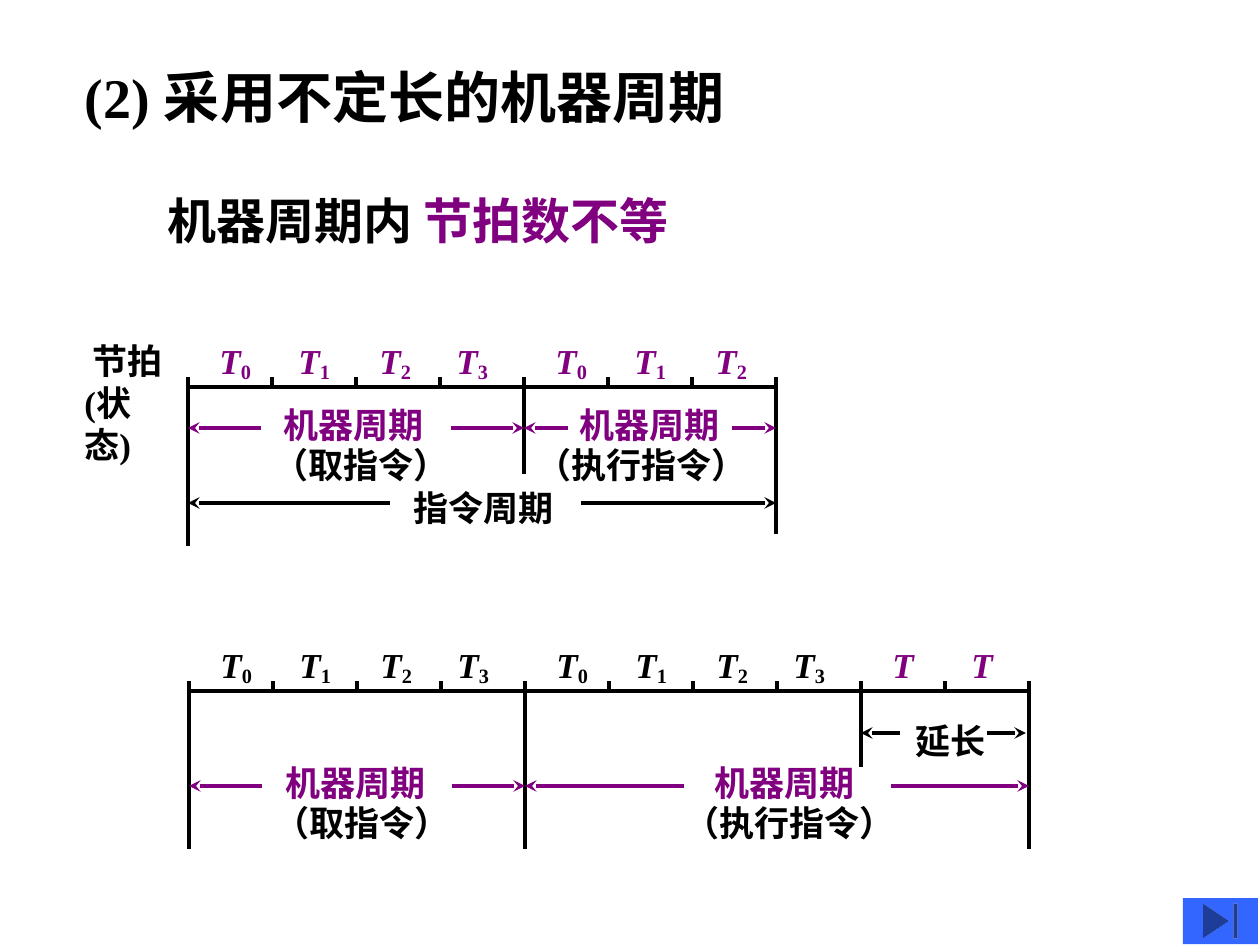
from pptx import Presentation
from pptx.dml.color import RGBColor
from pptx.enum.shapes import MSO_CONNECTOR, MSO_SHAPE
from pptx.enum.text import MSO_ANCHOR, MSO_AUTO_SIZE, PP_ALIGN
from pptx.oxml.ns import qn
from pptx.util import Pt
from lxml.etree import SubElement

UNIT = 914400 / 126
FONT = "Times New Roman"
BLACK, PURPLE, BLUE = "000000", "800080", "3366FF"
STEP = 84                      # width of one beat
CYCLE = 4 * STEP
BEATS = (20, 99, 180, 257)     # label offsets inside a cycle


def px(n):
    return round(n * UNIT)


def rgb(code):
    return RGBColor.from_string(code)


def style(para, size, color=None):
    font = para.font
    font.name, font.size, font.bold = FONT, Pt(size), True
    if color:
        font.color.rgb = rgb(color)


def text(shapes, x, y, w, h, lines, color=BLACK, wrap=False):
    frame = shapes.add_textbox(px(x), px(y), px(w), px(h)).text_frame
    frame.word_wrap = wrap
    frame.auto_size = MSO_AUTO_SIZE.SHAPE_TO_FIT_TEXT
    frame.text = lines
    for para in frame.paragraphs:
        style(para, 20, color)
    return frame


def line(shapes, x1, y1, x2, y2, color=BLACK, arrow=False):
    link = shapes.add_connector(MSO_CONNECTOR.STRAIGHT,
                                px(x1), px(y1), px(x2), px(y2))
    link.line.color.rgb = rgb(color)
    link.line.width = Pt(2.25)
    if arrow:
        SubElement(link.line._get_or_add_ln(), qn("a:tailEnd"), type="stealth")
    SubElement(link._element.spPr, qn("a:effectLst"))


def beat(shapes, x, y, color, sub):
    frame = text(shapes, x, y, 58 if sub else 47, 54, "T", color)
    para = frame.paragraphs[0]
    para.runs[0].font.italic = True
    if sub:
        run = para.add_run()
        run.text = sub
        run.font._element.set("baseline", "-15000")


def axis(shapes, x, y, beats, drops, extra=0):
    """Time line at height y; drops gives the lower end of the long ticks."""
    count = beats + extra
    line(shapes, x, y, x + count * STEP, y)
    for i in range(count + 1):
        line(shapes, x + i * STEP, y - 10, x + i * STEP, y + drops.get(i, 0))
    for i in range(count):
        dx = i // 4 * CYCLE + BEATS[i % 4] - 1
        added = i >= beats
        color = PURPLE if added or not extra else BLACK
        beat(shapes, x + dx, y - 54, color, "" if added else str(i % 4))


def span(shapes, left, right, y, arms, color=BLACK):
    """Two arrows that point outward to left and right."""
    line(shapes, left + arms[0], y, left, y, color, True)
    line(shapes, right - arms[1], y, right, y, color, True)


def phase(shapes, left, right, y, arms, title, name, note):
    """One machine cycle: arrows, title and note; title and note are offsets."""
    span(shapes, left, right, y, arms, PURPLE)
    text(shapes, left + title, y - 31, 172, 54, "机器周期", PURPLE)
    text(shapes, left + note, y + 9, 28 + 36 * len(name), 54, name)


def plain(shapes, x, y):
    """Instruction cycle of four and three beats."""
    mid, end = x + CYCLE, x + 7 * STEP
    axis(shapes, x, y, 7, {0: 159, 4: 87, 7: 147})
    phase(shapes, x, mid, y + 41, (73, 73), 83, "（取指令）", 73)
    phase(shapes, mid, end, y + 41, (44, 44), 43, "（执行指令）", 0)
    span(shapes, x, end, y + 116, (202, 195))
    text(shapes, x + 213, y + 93, 172, 54, "指令周期")


def longer(shapes, x, y):
    """Second cycle with two added beats."""
    mid, end = x + CYCLE, x + 10 * STEP
    axis(shapes, x, y, 8, {0: 158, 4: 158, 8: 76, 10: 158}, extra=2)
    phase(shapes, x, mid, y + 95, (73, 73), 84, "（取指令）", 73)
    phase(shapes, mid, end, y + 95, (159, 138), 177, "（执行指令）", 147)
    span(shapes, x + 8 * STEP, end - 3, y + 42, (39, 39))
    text(shapes, x + 714, y + 22, 98, 54, "延长")


def place(holder, x, y, w, h, size, parts):
    holder.left, holder.top, holder.width, holder.height = map(px, (x, y, w, h))
    frame = holder.text_frame
    frame.word_wrap = True
    frame.auto_size = MSO_AUTO_SIZE.NONE
    frame.vertical_anchor = MSO_ANCHOR.TOP
    para = frame.paragraphs[0]
    para.alignment = PP_ALIGN.LEFT
    para.space_before = Pt(0)
    style(para, size)
    for words, color in parts:
        run = para.add_run()
        run.text = words
        run.font.color.rgb = rgb(color)
    return para


def heads(slide):
    title, body = slide.placeholders
    place(title, 72, 56, 806, 79, 32, [("(2) 采用不定长的机器周期", BLACK)])
    para = place(body, 155, 184, 694, 72, 28,
                 [("机器周期内 ", BLACK), ("节拍数不等", PURPLE)])
    props = para._p.get_or_add_pPr()
    props.set("marL", "0")
    props.set("indent", "0")
    SubElement(props, qn("a:buNone"))


def button(shapes, x, y, w, h):
    shape = shapes.add_shape(MSO_SHAPE.ACTION_BUTTON_END,
                             px(x), px(y), px(w), px(h))
    shape.shadow.inherit = False
    shape.fill.solid()
    shape.fill.fore_color.rgb = rgb(BLUE)
    shape.line.fill.background()


def main():
    deck = Presentation()
    deck.slide_width, deck.slide_height = px(1260), px(945)
    slide = deck.slides.add_slide(deck.slide_layouts[1])
    shapes = slide.shapes
    heads(slide)
    # Time diagrams
    plain(shapes.add_group_shape().shapes, 188, 387)
    text(shapes, 72, 333, 118, 97, " 节拍\n(状态)", wrap=True)
    longer(shapes.add_group_shape().shapes, 189, 691)
    # Navigation
    button(shapes, 1183, 898, 75, 46)
    deck.save("out.pptx")


if __name__ == "__main__":
    main()
